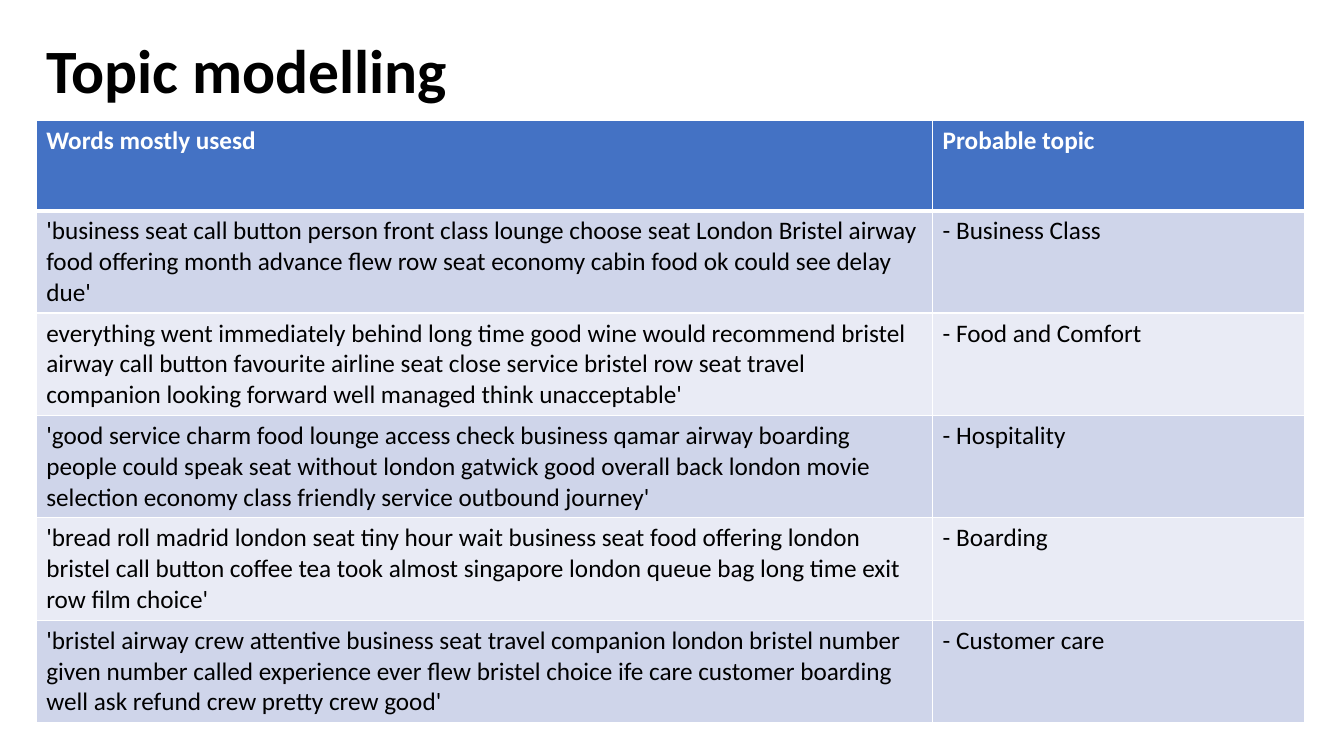
from dataclasses import dataclass

from lxml import etree
from pptx import Presentation
from pptx import util as u
from pptx.dml.color import RGBColor
from pptx.enum import text
from pptx.oxml import ns

SLIDE_WIDTH, SLIDE_HEIGHT = u.Inches(13.33), u.Inches(7.5)
FONT = "Calibri"
BLACK, WHITE = "000000", "FFFFFF"
HEADER_FILL = "4472C4"
BAND_FILLS = ("CFD5EA", "E9EBF5")
LEFT = u.Inches(0.36)
COLUMN_WIDTHS = (8.89, 3.69)
HEADER_HEIGHT, BODY_HEIGHT = 0.9, 0.91


@dataclass(frozen=True)
class Topic:
    words: str
    name: str


HEADER = Topic("Words mostly usesd", "Probable topic")
TOPICS = (
    Topic("'business seat call button person front class lounge choose seat London "
          "Bristel airway food offering month advance flew row seat economy cabin "
          "food ok could see delay due'", "- Business Class"),
    Topic("everything went immediately behind long time good wine would recommend "
          "bristel airway call button favourite airline seat close service bristel "
          "row seat travel companion looking forward well managed think "
          "unacceptable'", "- Food and Comfort"),
    Topic("'good service charm food lounge access check business qamar airway "
          "boarding people could speak seat without london gatwick good overall "
          "back london movie selection economy class friendly service outbound "
          "journey'", "- Hospitality"),
    Topic("'bread roll madrid london seat tiny hour wait business seat food offering "
          "london bristel call button coffee tea took almost singapore london queue "
          "bag long time exit row film choice'", "- Boarding"),
    Topic("'bristel airway crew attentive business seat travel companion london "
          "bristel number given number called experience ever flew bristel choice "
          "ife care customer boarding well ask refund crew pretty crew good'",
          "- Customer care"),
)


def color(hex_value: str) -> RGBColor:
    return RGBColor.from_string(hex_value)


def format_runs(paragraph, size: float, hex_value: str, bold: bool) -> None:
    for run in paragraph.runs:
        run.font.name = FONT
        run.font.size = u.Pt(size)
        run.font.bold = bold
        run.font.color.rgb = color(hex_value)


def set_borders(cell, bottom_width: float) -> None:
    """Draw white cell borders, 1 point wide except at the bottom."""
    properties = cell._tc.get_or_add_tcPr()
    widths = {"lnL": 1, "lnR": 1, "lnT": 1, "lnB": bottom_width}
    for position, (side, width) in enumerate(widths.items()):
        line = etree.Element(ns.qn(f"a:{side}"), w=str(u.Pt(width)))
        fill = etree.SubElement(line, ns.qn("a:solidFill"))
        etree.SubElement(fill, ns.qn("a:srgbClr"), val=WHITE)
        properties.insert(position, line)


def fill_row(table, index: int, topic: Topic) -> None:
    is_header = index == 0
    fill = HEADER_FILL if is_header else BAND_FILLS[(index - 1) % 2]
    table.rows[index].height = u.Inches(HEADER_HEIGHT if is_header else BODY_HEIGHT)
    for cell, content in zip(table.rows[index].cells, (topic.words, topic.name)):
        cell.text_frame.text = content
        format_runs(cell.text_frame.paragraphs[0], 18,
                    WHITE if is_header else BLACK, is_header)
        cell.fill.solid()
        cell.fill.fore_color.rgb = color(fill)
        # The first body row shares its top edge with the header's thick rule.
        set_borders(cell, 3 if is_header else 1)


def add_title(slide, content: str) -> None:
    title = slide.shapes.title
    title.left, title.top = LEFT, 0
    title.width, title.height = u.Inches(11.5), u.Inches(1.45)
    title.text_frame.text = content
    title.text_frame.vertical_anchor = text.MSO_ANCHOR.MIDDLE
    paragraph = title.text_frame.paragraphs[0]
    paragraph.alignment = text.PP_ALIGN.LEFT
    paragraph.line_spacing = 0.9
    format_runs(paragraph, 44, BLACK, True)


def add_topic_table(slide) -> None:
    rows = (HEADER, *TOPICS)
    height = HEADER_HEIGHT + BODY_HEIGHT * len(TOPICS)
    table = slide.shapes.add_table(
        len(rows), len(COLUMN_WIDTHS), LEFT, u.Inches(1.19),
        u.Inches(sum(COLUMN_WIDTHS)), u.Inches(height)).table
    for column, width in zip(table.columns, COLUMN_WIDTHS):
        column.width = u.Inches(width)
    for index, topic in enumerate(rows):
        fill_row(table, index, topic)


def main() -> None:
    presentation = Presentation()
    presentation.slide_width, presentation.slide_height = SLIDE_WIDTH, SLIDE_HEIGHT
    slide = presentation.slides.add_slide(
        presentation.slide_layouts.get_by_name("Title Only"))
    add_title(slide, "Topic modelling")
    add_topic_table(slide)
    presentation.save("out.pptx")


if __name__ == "__main__":
    main()
